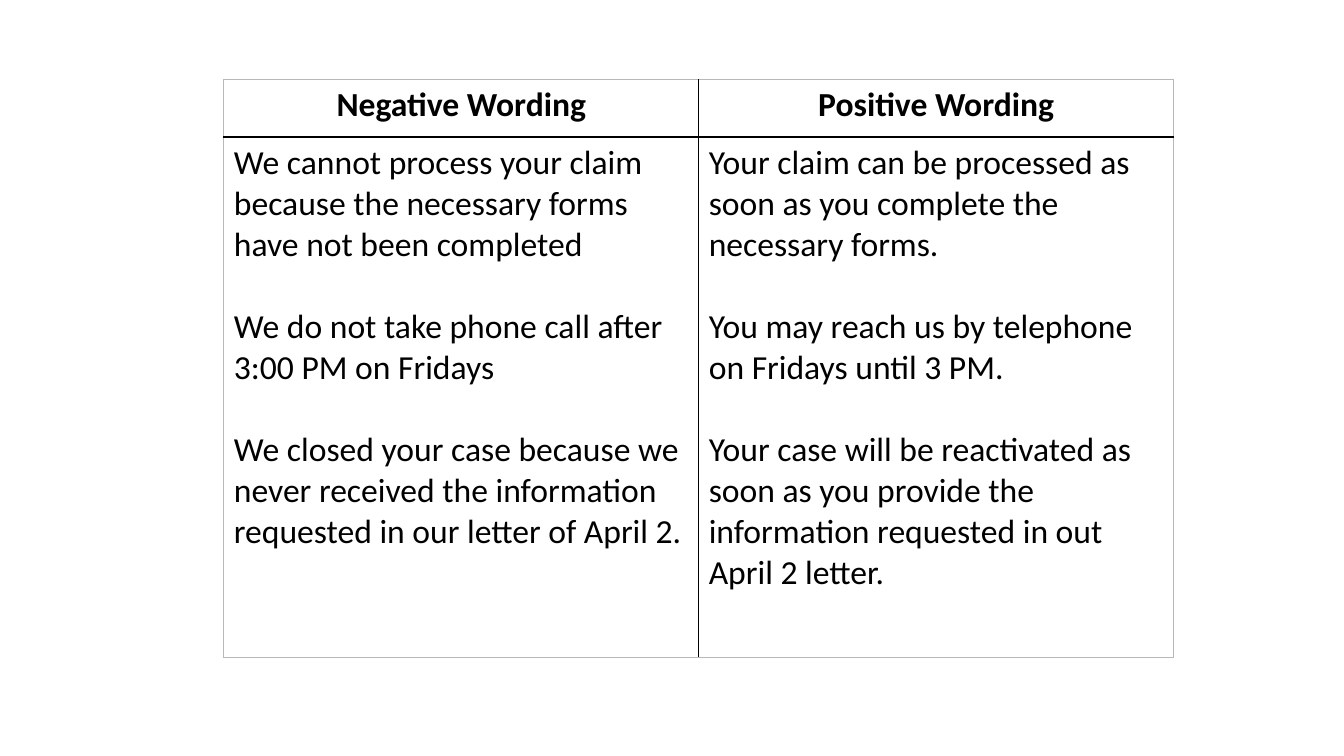
"""Build a slide with a table comparing negative and positive wording."""
from dataclasses import dataclass

from lxml import etree
from pptx import Presentation
from pptx.dml.color import RGBColor
from pptx.enum.text import PP_ALIGN
from pptx.oxml.ns import qn
from pptx.table import _Cell
from pptx.util import Inches, Pt

CENTER, LEFT = PP_ALIGN.CENTER, PP_ALIGN.LEFT
BLACK, GRAY = "000000", "B8B8B8"
FONT, SIZE, GAP = "Calibri", 24, 29.3
COL_WIDTH, ROW_HEIGHTS = 4.71, (0.57, 5.16)


@dataclass
class Column:
    heading: str
    examples: list[str]


COLUMNS = [
    Column("Negative Wording", [
        "We cannot process your claim because the necessary forms have not been completed",
        "We do not take phone call after 3:00 PM on Fridays",
        "We closed your case because we never received the information requested in our letter of April 2.",
    ]),
    Column("Positive Wording", [
        "Your claim can be processed as soon as you complete the necessary forms.",
        "You may reach us by telephone on Fridays until 3 PM.",
        "Your case will be reactivated as soon as you provide the information requested in out April 2 letter.",
    ]),
]


def rgb(value: str) -> RGBColor:
    return RGBColor.from_string(value)


def set_borders(cell: _Cell, row: int, col: int) -> None:
    outer = {
        "a:lnL": col == 0,
        "a:lnR": col == len(COLUMNS) - 1,
        "a:lnT": row == 0,
        "a:lnB": row == len(ROW_HEIGHTS) - 1,
    }
    tc_pr = cell._tc.get_or_add_tcPr()
    for tag, is_outer in outer.items():
        ln = etree.SubElement(tc_pr, qn(tag), w=str(Pt(1)))
        fill = etree.SubElement(ln, qn("a:solidFill"))
        etree.SubElement(fill, qn("a:srgbClr"), val=GRAY if is_outer else BLACK)


def write_cell(cell: _Cell, texts: list[str], heading: bool) -> None:
    tf = cell.text_frame
    for i, text in enumerate(texts):
        p = tf.add_paragraph() if i else tf.paragraphs[0]
        p.text = text
        p.alignment = CENTER if heading else LEFT
        if i:
            p.space_before = Pt(GAP)
        font = p.runs[0].font
        font.name, font.size, font.bold = FONT, Pt(SIZE), heading
        font.color.rgb = rgb(BLACK)


def main() -> None:
    prs = Presentation()
    prs.slide_width, prs.slide_height = Inches(13.33), Inches(7.5)
    slide = prs.slides.add_slide(prs.slide_layouts[6])
    table = slide.shapes.add_table(
        len(ROW_HEIGHTS), len(COLUMNS), Inches(2.22), Inches(0.79),
        Inches(COL_WIDTH * len(COLUMNS)), Inches(sum(ROW_HEIGHTS))).table
    table.horz_banding = False
    for row, height in enumerate(ROW_HEIGHTS):
        table.rows[row].height = Inches(height)
    for col, column in enumerate(COLUMNS):
        table.columns[col].width = Inches(COL_WIDTH)
        for row, texts in enumerate(([column.heading], column.examples)):
            cell = table.cell(row, col)
            write_cell(cell, texts, heading=row == 0)
            set_borders(cell, row, col)
            cell.fill.background()
    prs.save("out.pptx")


if __name__ == "__main__":
    main()
